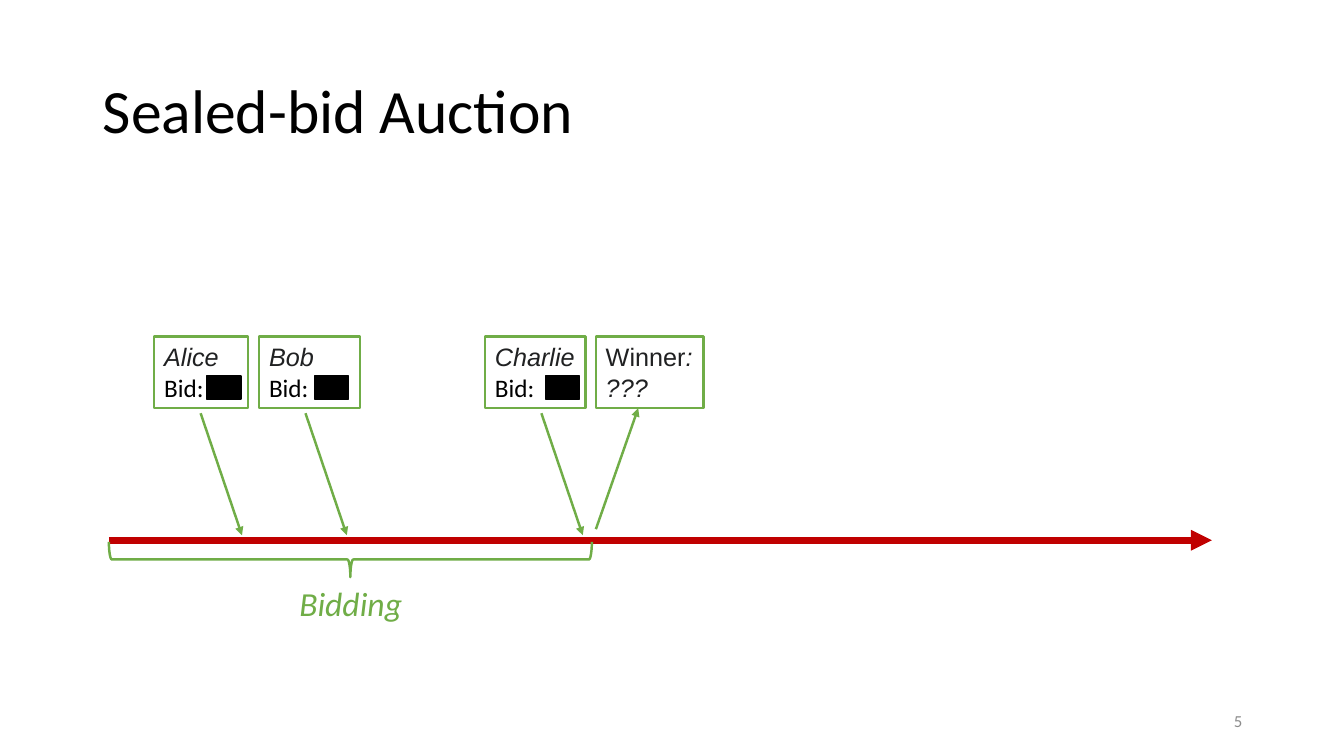
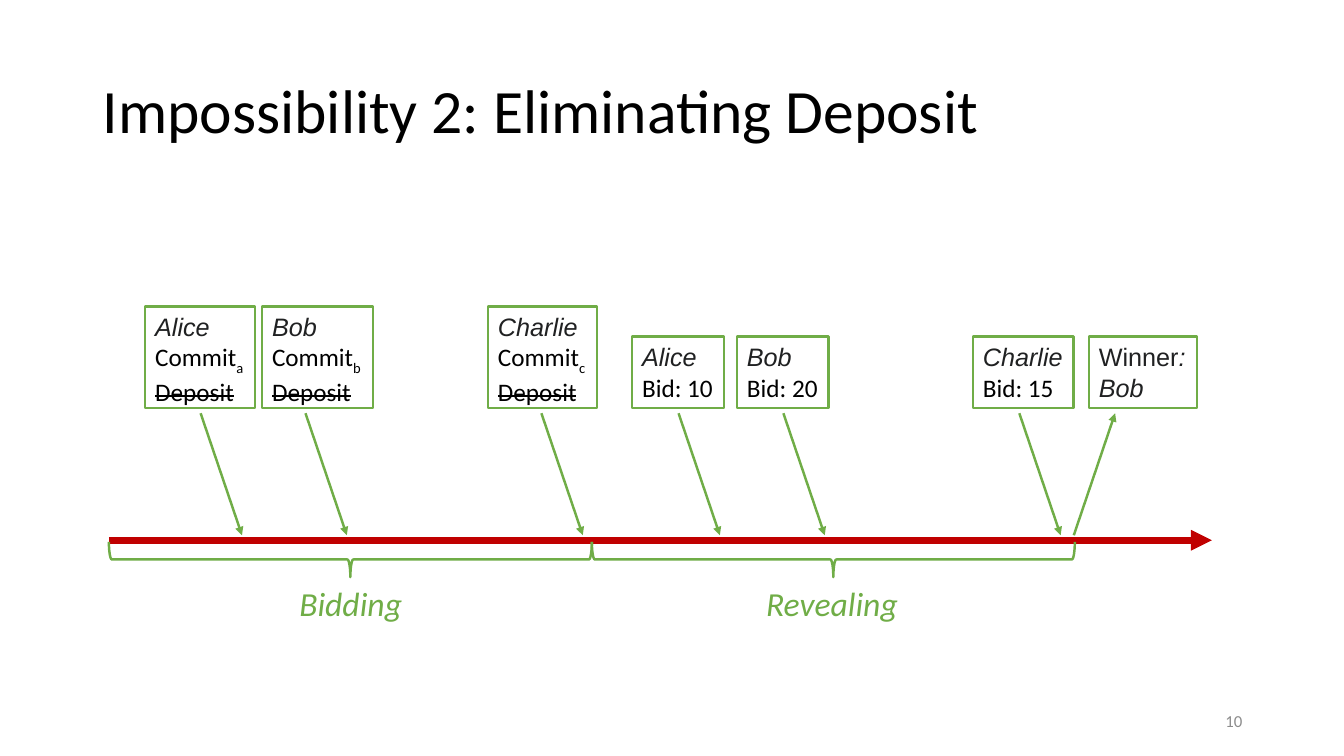
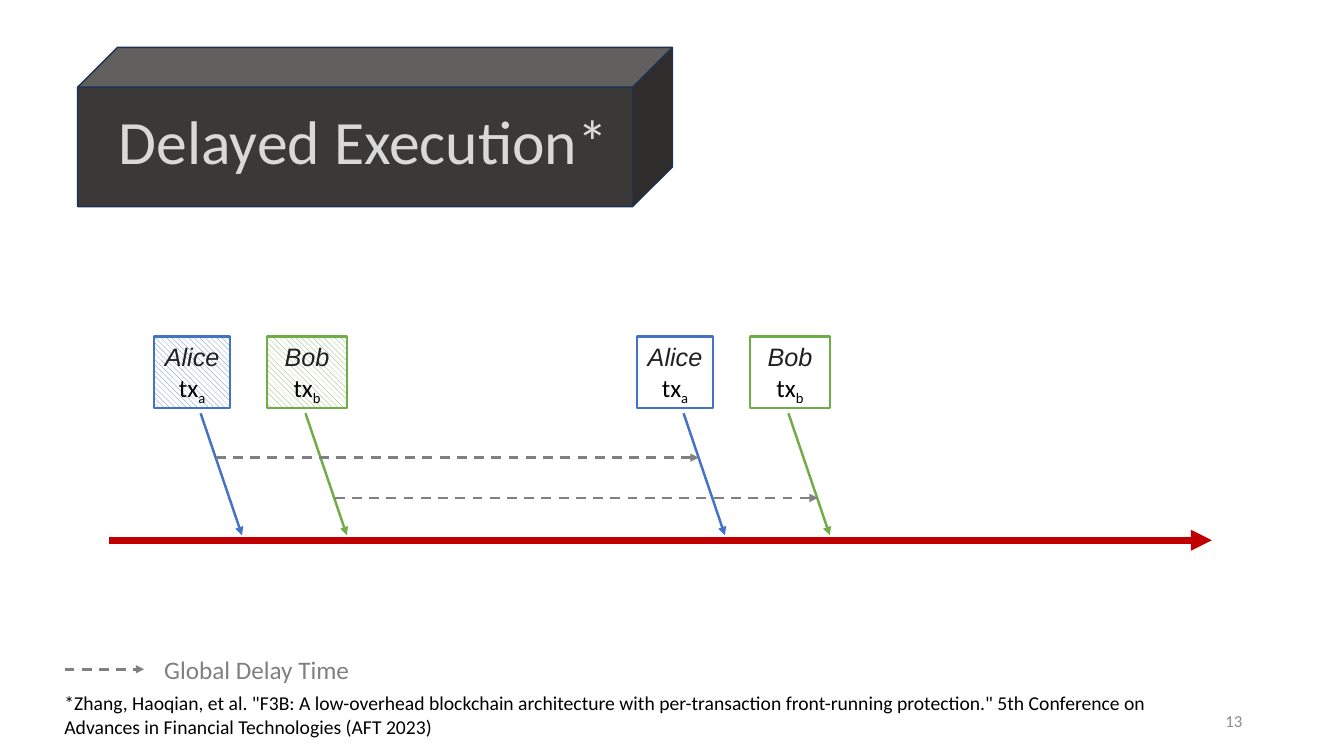
from pptx import Presentation
from pptx.dml.color import RGBColor
from pptx.enum.dml import MSO_LINE as DASH, MSO_PATTERN as PATTERN
from pptx.enum.shapes import MSO_CONNECTOR as CONN, MSO_SHAPE as SHAPE
from pptx.enum.text import MSO_ANCHOR as ANCHOR, MSO_AUTO_SIZE as FIT, PP_ALIGN as ALIGN
from pptx.oxml.ns import qn
from pptx.util import Inches, Pt
from lxml.etree import SubElement

GREEN, BLUE, RED, GRAY, BLACK = "70AD47", "4472C4", "C00000", "808080", "000000"
BODY = {"name": "Calibri", "size": 18, "color": BLACK}
TITLE = {**BODY, "size": 44}
NUMBER = {**BODY, "size": 12, "color": "8C8C8C"}
PHASE = {**BODY, "size": 24, "color": GREEN, "italic": True}
NOTE = {**BODY, "size": 14}
LEGEND = {**BODY, "color": GRAY}
PLAIN = {"name": "Arial", "size": 18, "color": "202122"}
NAME = {**PLAIN, "italic": True}
SUB = {**BODY, "baseline": "-25000"}
STRUCK = {**BODY, "strike": "sngStrike"}

AXIS_Y = 5.36
CARD_BOTTOM = 4.05
ARROW_TOP, ARROW_BOTTOM, ARROW_RUN = 4.1, 5.31, 0.41
PHASE_START, PHASE_LEN = 1.08, 4.79
BID_ARROWS = (1.99, 3.03, 5.37)


def rgb(color):
    return RGBColor.from_string(color)


class Deck:
    def __init__(self):
        self.prs = Presentation()
        self.prs.slide_width, self.prs.slide_height = Inches(13.33), Inches(7.5)
        self.slide = None

    def start(self, number):
        """Add a slide with its number and the red time axis."""
        self.slide = self.prs.slides.add_slide(self.prs.slide_layouts[5])
        sp = self.text(9.42, 6.95, 3, 0.4, [[(number, NUMBER)]], wrap=True,
                       fit=FIT.NONE, align=ALIGN.RIGHT)
        sp.text_frame.vertical_anchor = ANCHOR.MIDDLE
        self.arrow((1.08, AXIS_Y), (12.02, AXIS_Y), RED, width=5)

    def add_runs(self, p, runs):
        for text, style in runs:
            r = p.add_run()
            r.text = text
            for key, value in style.items():
                if key == "color":
                    r.font.color.rgb = rgb(value)
                elif key in ("baseline", "strike"):
                    r._r.get_or_add_rPr().set(key, value)
                else:
                    setattr(r.font, key, Pt(value) if key == "size" else value)

    def title(self, text, left=0.92, top=0.4, color=BLACK):
        """Fill the title placeholder and bring it to the front."""
        sp = self.slide.shapes.title
        sp.left, sp.top, sp.width, sp.height = map(Inches, (left, top, 11.5, 1.45))
        sp.text_frame.vertical_anchor = ANCHOR.MIDDLE
        p = sp.text_frame.paragraphs[0]
        p.alignment, p.line_spacing = ALIGN.LEFT, 0.9
        self.add_runs(p, [(text, {**TITLE, "color": color})])
        sp.element.getparent().append(sp.element)

    def text(self, left, top, width, height, paras, wrap=False,
             fit=FIT.SHAPE_TO_FIT_TEXT, align=ALIGN.LEFT):
        sp = self.slide.shapes.add_textbox(*map(Inches, (left, top, width, height)))
        tf = sp.text_frame
        tf.word_wrap, tf.auto_size = wrap, fit
        for i, runs in enumerate(paras):
            p = tf.add_paragraph() if i else tf.paragraphs[0]
            p.alignment = align
            self.add_runs(p, runs)
        return sp

    def card(self, left, width, paras, color=GREEN, hatched=False, **layout):
        """Draw an outlined box that stands on the common card baseline."""
        height = 0.71 if len(paras) == 2 else 1.01
        sp = self.text(left, CARD_BOTTOM - height, width, height, paras, **layout)
        sp.line.color.rgb, sp.line.width = rgb(color), Pt(1.75)
        if hatched:
            sp.fill.patterned()
            sp.fill.pattern = PATTERN.WIDE_DOWNWARD_DIAGONAL
            sp.fill.fore_color.rgb, sp.fill.back_color.rgb = rgb(color), rgb("FFFFFF")

    def arrow(self, start, end, color=GREEN, width=1.75, dashed=False):
        c = self.slide.shapes.add_connector(CONN.STRAIGHT, *map(Inches, (*start, *end)))
        c.line.color.rgb, c.line.width = rgb(color), Pt(width)
        if dashed:
            c.line.dash_style = DASH.DASH
        spPr = c.element.spPr
        SubElement(spPr.find(qn("a:ln")), qn("a:tailEnd"), type="triangle")
        SubElement(spPr, qn("a:effectLst"))

    def submit_arrow(self, x, color=GREEN):
        """Slant down from a card to the time axis."""
        self.arrow((x, ARROW_TOP), (x + ARROW_RUN, ARROW_BOTTOM), color)

    def shape(self, kind, left, top, width, height, line, fill=None, weight=1):
        sp = self.slide.shapes.add_shape(kind, *map(Inches, (left, top, width, height)))
        sp.shadow.inherit = False
        sp.line.color.rgb, sp.line.width = rgb(line), Pt(weight)
        if fill:
            sp.fill.solid()
            sp.fill.fore_color.rgb = rgb(fill)
        else:
            sp.fill.background()
        return sp

    def phase(self, index, label, left, width):
        """Draw the brace under one phase of the axis, with its label."""
        depth = 0.35
        middle = PHASE_START + PHASE_LEN * (index + 0.5)
        brace = self.shape(SHAPE.LEFT_BRACE, middle - depth / 2, 5.55 - PHASE_LEN / 2,
                           depth, PHASE_LEN, GREEN, weight=1.75)
        brace.rotation = 270
        self.text(left, 5.73, width, 0.5, [[(label, PHASE)]])


def winner(name):
    return [[("Winner", PLAIN), (":", NAME)], [(name, NAME)]]


def sealed_bid(deck):
    deck.start("5")
    deck.title("Sealed-bid Auction")
    deck.phase(0, "Bidding", 2.87, 1.23)
    bidders = (("Alice", 1.53, 0.93, 2.05), ("Bob", 2.57, 1, 3.12),
               ("Charlie", 4.81, 1, 5.41))
    for (name, left, width, mask), x in zip(bidders, BID_ARROWS):
        deck.submit_arrow(x)
        deck.card(left, width, [[(name, NAME)], [("Bid:", BODY)]], wrap=name != "Charlie")
        deck.shape(SHAPE.RECTANGLE, mask, 3.73, 0.34, 0.23, BLACK, BLACK)
    deck.arrow((5.91, 5.25), (6.33, CARD_BOTTOM))
    deck.card(5.91, 1.07, winner("???"))


def eliminating_deposit(deck):
    deck.start("10")
    deck.title("Impossibility 2: Eliminating Deposit")
    deck.phase(0, "Bidding", 2.87, 1.23)
    deck.phase(1, "Revealing", 7.5, 1.52)
    bidders = (("Alice", "a", 1.44, 1.09, "10", 6.27, 0.91),
               ("Bob", "b", 2.6, 1.1, "20", 7.31, 0.91),
               ("Charlie", "c", 4.84, 1.08, "15", 9.65, 1))
    for (name, key, left, width, bid, bid_left, bid_width), x in zip(bidders, BID_ARROWS):
        deck.submit_arrow(x)
        deck.submit_arrow(x + 4.74)
        deck.card(left, width, [[(name, NAME)], [("Commit", BODY), (key, SUB)],
                                [("Deposit", STRUCK)]])
        deck.card(bid_left, bid_width, [[(name, NAME)], [(f"Bid: {bid}", BODY)]])
    deck.arrow((10.65, ARROW_BOTTOM), (10.65 + ARROW_RUN, ARROW_TOP))
    deck.card(10.8, 1.07, winner("Bob"))


def delayed_execution(deck):
    deck.start("13")
    delay = PHASE_LEN
    senders = (("Alice", "a", BLUE, 1.53, 0.75, 2.14, 4.54),
               ("Bob", "b", GREEN, 2.65, 0.79, 3.32, 4.94))
    for (name, key, color, left, width, *_), x in zip(senders, BID_ARROWS):
        for shift in (0, delay):
            deck.submit_arrow(x + shift, color)
            deck.card(left + shift, width, [[(name, NAME)], [("tx", BODY), (key, SUB)]],
                      color, hatched=not shift, wrap=name == "Bob", align=ALIGN.CENTER)
    for *_, x, y in senders:
        deck.arrow((x, y), (x + delay, y), GRAY, dashed=True)
    deck.arrow((0.64, 6.64), (1.43, 6.64), GRAY, dashed=True)
    deck.text(1.53, 6.44, 2.06, 0.4, [[("Global Delay Time", LEGEND)]])
    deck.shape(SHAPE.CUBE, 0.77, 0.47, 5.9, 1.58, "1E3256", "3B3838")
    deck.title("Delayed Execution*", 1.08, 0.71, "D9D9D9")
    deck.text(0.54, 6.81, 11.48, 0.57, [[(
        '*Zhang, Haoqian, et al. "F3B: A low-overhead blockchain architecture with '
        'per-transaction front-running protection." 5th Conference on Advances in '
        'Financial Technologies (AFT 2023)', NOTE)]], wrap=True)


def main():
    deck = Deck()
    for build in (sealed_bid, eliminating_deposit, delayed_execution):
        build(deck)
    deck.prs.save("out.pptx")


if __name__ == "__main__":
    main()
